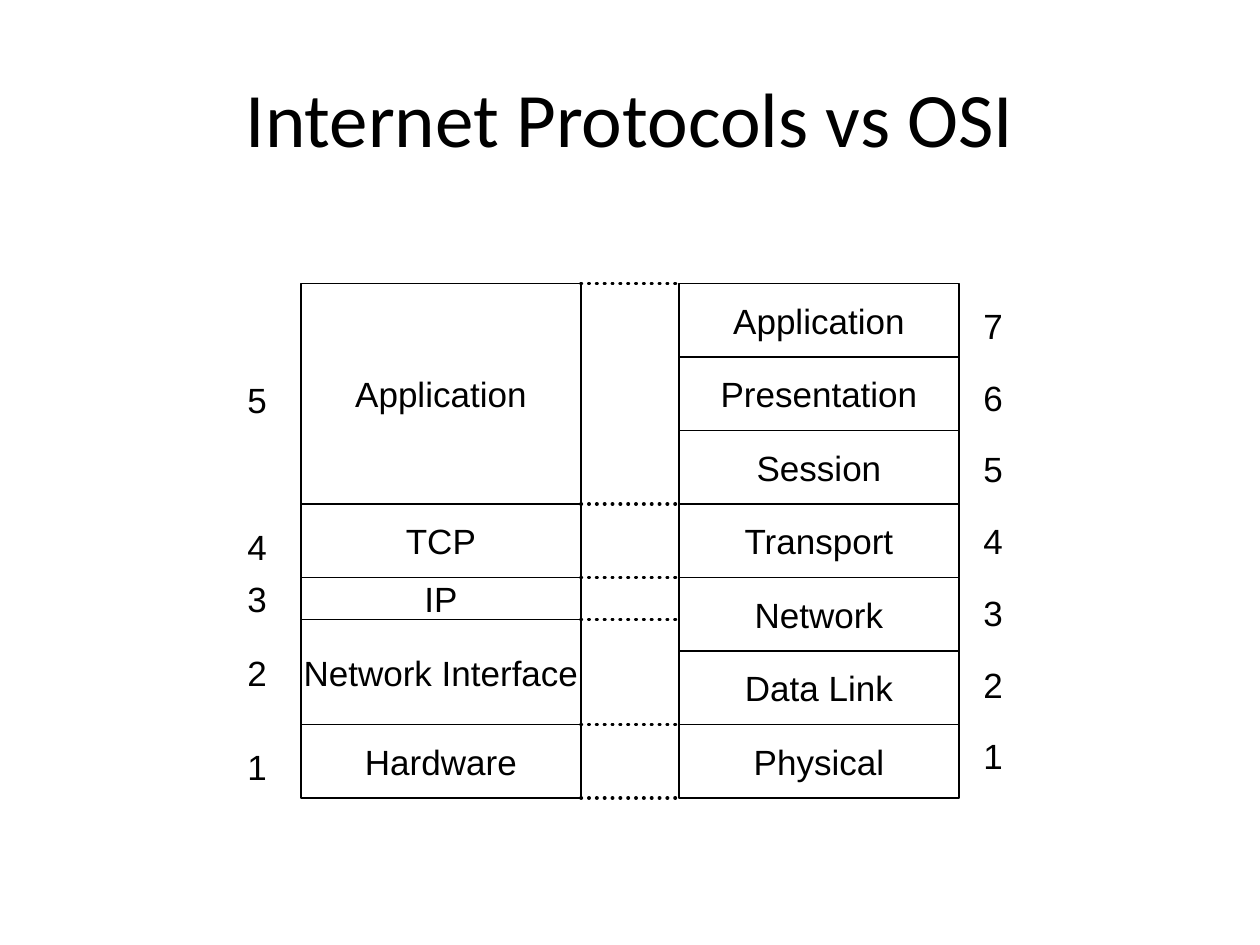
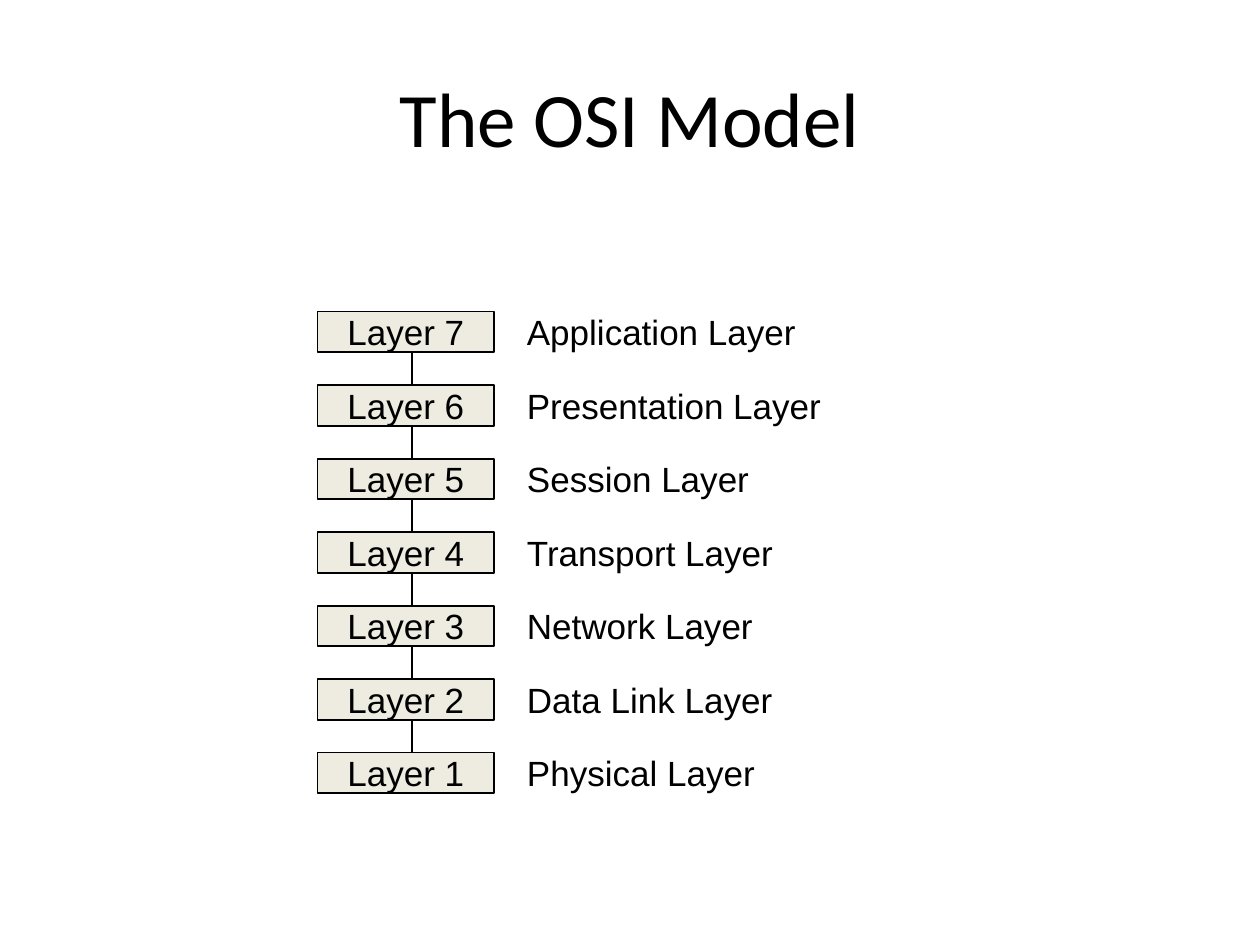
import math

from pptx import Presentation
from pptx import util as u
from pptx.dml.color import RGBColor
from pptx.enum import dml, shapes, text
from pptx.oxml import parse_xml
from pptx.oxml.ns import nsdecls

COLUMNS, ROWS = 120, 90
BLACK, WHITE, CREAM = "000000", "FFFFFF", "EEECE1"
LAYER_NAMES = ["Application", "Presentation", "Session", "Transport",
               "Network", "Data Link", "Physical"]


def colour(value):
    return RGBColor.from_string(value)


class Sketch:
    title_font, body_font = "Calibri", "Arial"
    title_size, body_size = 44, 20

    def __init__(self, deck):
        self.deck = deck
        self.page = None

    def place(self, left, top, width, height):
        across = self.deck.slide_width / COLUMNS
        down = self.deck.slide_height / ROWS
        return [u.Emu(round(length)) for length in
                (left * across, top * down, width * across, height * down)]

    def set_words(self, frame, words, font, size, align):
        frame.text = words
        para = frame.paragraphs[0]
        para.alignment = align
        para.font.name = font
        para.font.size = u.Pt(size)
        para.font.color.rgb = colour(BLACK)

    def start_page(self, words):
        self.page = self.deck.slides.add_slide(self.deck.slide_layouts[5])
        title = self.page.shapes.title
        title.left, title.top, title.width, title.height = self.place(6, 3.6, 108, 15)
        title.text_frame.vertical_anchor = text.MSO_ANCHOR.MIDDLE
        self.set_words(title.text_frame, words, self.title_font, self.title_size,
                       text.PP_ALIGN.CENTER)

    def box(self, left, top, width, height, words="", fill=WHITE, outlined=True):
        box = self.page.shapes.add_shape(shapes.MSO_SHAPE.RECTANGLE,
                                         *self.place(left, top, width, height))
        box.shadow.inherit = False
        box.fill.solid()
        box.fill.fore_color.rgb = colour(fill)
        if outlined:
            box.line.color.rgb = colour(BLACK)
            box.line.width = u.Pt(1)
        else:
            box.line.fill.background()
        if words:
            box.text_frame.word_wrap = False
            box.text_frame.vertical_anchor = text.MSO_ANCHOR.MIDDLE
            self.set_words(box.text_frame, words, self.body_font, self.body_size,
                           text.PP_ALIGN.CENTER)

    def label(self, left, top, width, words):
        label = self.page.shapes.add_textbox(*self.place(left, top, width, 5.16))
        label.text_frame.word_wrap = False
        label.text_frame.auto_size = text.MSO_AUTO_SIZE.SHAPE_TO_FIT_TEXT
        self.set_words(label.text_frame, words, self.body_font, self.body_size,
                       text.PP_ALIGN.LEFT)

    def line(self, left, top, width, height, weight=1, dotted=False):
        x, y, across, down = self.place(left, top, width, height)
        line = self.page.shapes.add_connector(shapes.MSO_CONNECTOR.STRAIGHT,
                                              x, y, x + across, y + down)
        line.line.color.rgb = colour(BLACK)
        line.line.width = u.Pt(weight)
        properties = line.element.spPr
        if dotted:
            line.line.dash_style = dml.MSO_LINE.ROUND_DOT
            properties.find("{*}ln").set("cap", "rnd")
        properties.append(parse_xml(f"<a:effectLst {nsdecls('a')}/>"))


def build_comparison(sketch):
    sketch.start_page("Internet Protocols vs OSI")
    stack_top, layer_height, number_height = 27, 7, 4
    internet_left, osi_left, stack_width = 28.65, 64.65, 26.7
    internet_right = internet_left + stack_width
    internet_layers = [("Application", 21), ("TCP", 7), ("IP", 4),
                       ("Network Interface", 10), ("Hardware", 7)]

    for index, name in enumerate(LAYER_NAMES):
        sketch.box(osi_left, stack_top + index * layer_height,
                   stack_width, layer_height, name)
        sketch.box(92.28, 29 + index * 6.83, 4.6, number_height,
                   str(len(LAYER_NAMES) - index), outlined=False)

    top = stack_top
    boundaries = [top]
    for index, (name, height) in enumerate(internet_layers):
        sketch.box(internet_left, top, stack_width, height, name)
        number_top = math.ceil(top + (height - number_height) / 2)
        sketch.box(22.2, number_top, 4.6, number_height,
                   str(len(internet_layers) - index), outlined=False)
        top += height
        boundaries.append(top)

    for boundary in boundaries:
        sketch.line(internet_right, boundary, osi_left - internet_right, 0,
                    weight=2.25, dotted=True)


def build_model(sketch):
    sketch.start_page("The OSI Model")
    label_widths = [28.1, 30.5, 23.6, 26, 24, 25.8, 24.1]
    count = len(LAYER_NAMES)
    for index, (name, width) in enumerate(zip(LAYER_NAMES, label_widths)):
        top = 29 + index * 7
        sketch.box(30.25, top + 0.68, 16.8, 3.88, fill=CREAM)
        sketch.label(31.9, top, 13.6, f"Layer {count - index}")
        sketch.label(49, top, width, f"{name} Layer")
        if index < count - 1:
            sketch.line(39.25, top + 4.6, 0, 3)


def main():
    deck = Presentation()
    deck.slide_width, deck.slide_height = u.Inches(10), u.Inches(7.5)
    sketch = Sketch(deck)
    build_comparison(sketch)
    build_model(sketch)
    deck.save("out.pptx")


if __name__ == "__main__":
    main()
